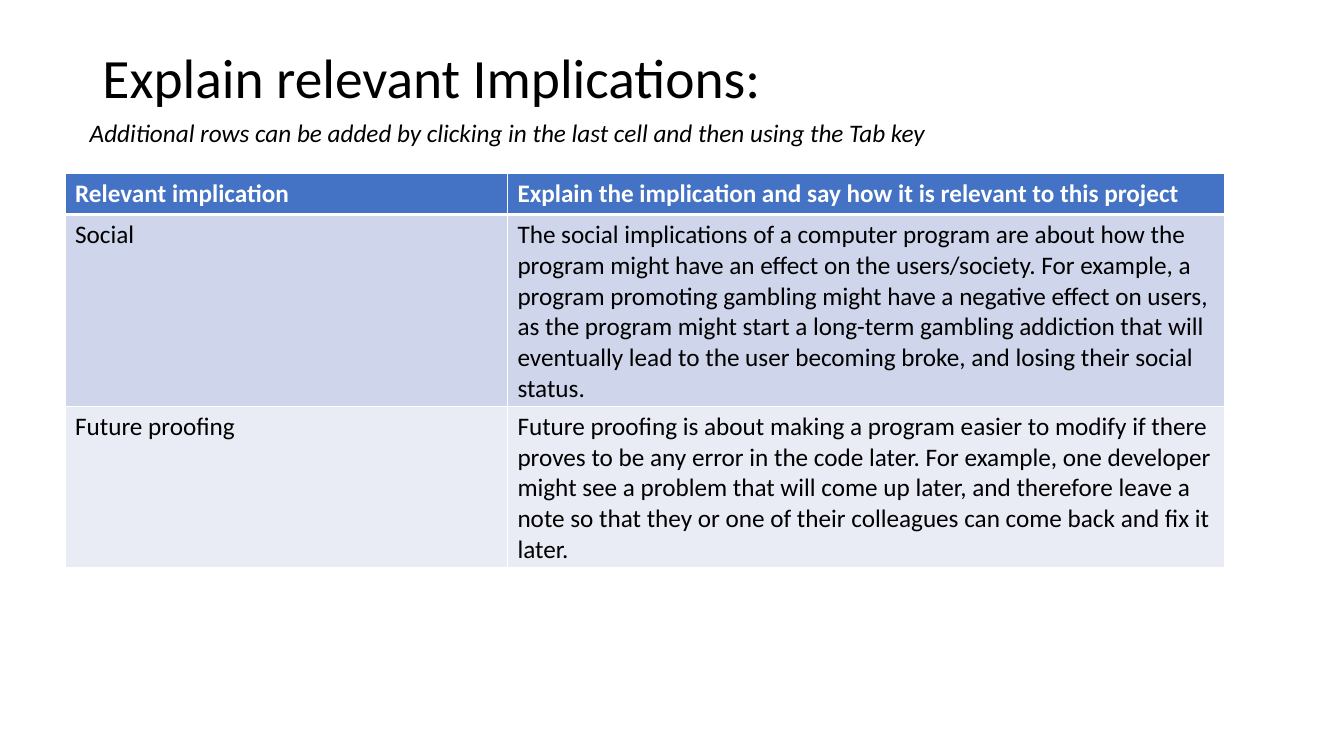
from lxml import etree
from pptx import Presentation
from pptx.dml.color import RGBColor
from pptx.enum import text as t
from pptx.oxml import ns
from pptx.util import Pt

ROWS = [
    ("Relevant implication",
     "Explain the implication and say how it is relevant to this project"),
    ("Social",
     "The social implications of a computer program are about how the program "
     "might have an effect on the users/society. For example, a program "
     "promoting gambling might have a negative effect on users, as the program "
     "might start a long-term gambling addiction that will eventually lead to "
     "the user becoming broke, and losing their social status."),
    ("Future proofing",
     "Future proofing is about making a program easier to modify if there "
     "proves to be any error in the code later. For example, one developer "
     "might see a problem that will come up later, and therefore leave a note "
     "so that they or one of their colleagues can come back and fix it later."),
]
HEAD = "4472C4"
BANDS = ["CFD5EA", "E9EBF5"]


def color(code):
    return RGBColor.from_string(code)


def write(frame, words, size=18, ink="000000", bold=False, slant=False, lead=None):
    para = frame.paragraphs[0]
    para.alignment = t.PP_ALIGN.LEFT
    para.line_spacing = lead
    run = para.add_run()
    run.text = words
    font = run.font
    font.name, font.size = "Calibri", Pt(size)
    font.bold, font.italic = bold, slant
    font.color.rgb = color(ink)


def edge(cell, side, width, ink="FFFFFF"):
    """Draw one border of a cell; side is L, R, T or B."""
    props = cell._tc.get_or_add_tcPr()
    line = etree.SubElement(props, ns.qn("a:ln" + side), w=str(Pt(width)))
    fill = etree.SubElement(line, ns.qn("a:solidFill"))
    etree.SubElement(fill, ns.qn("a:srgbClr"), val=ink)


class Page:
    def __init__(self, deck):
        self.slide = deck.slides.add_slide(deck.slide_layouts[5])

    def title(self, words, left, top, width, height):
        box = self.slide.shapes.title
        box.left, box.top, box.width, box.height = map(Pt, (left, top, width, height))
        frame = box.text_frame
        frame.word_wrap = True
        frame.auto_size = t.MSO_AUTO_SIZE.NONE
        frame.vertical_anchor = t.MSO_ANCHOR.MIDDLE
        write(frame, words, size=39.6, lead=1.15)

    def note(self, words, left, top, width, height):
        box = self.slide.shapes.add_textbox(*map(Pt, (left, top, width, height)))
        box.text_frame.word_wrap = True
        write(box.text_frame, words, slant=True)

    def table(self, rows, left, top, widths, heights):
        area = map(Pt, (left, top, sum(widths), sum(heights)))
        grid = self.slide.shapes.add_table(len(rows), len(widths), *area).table
        for col, width in zip(grid.columns, widths):
            col.width = Pt(width)
        for r, (row, height) in enumerate(zip(rows, heights)):
            grid.rows[r].height = Pt(height)
            head = r == 0
            for c, words in enumerate(row):
                cell = grid.cell(r, c)
                edge(cell, "L", 1)
                edge(cell, "R", 1)
                edge(cell, "T", 3 if r == 1 else 1)
                edge(cell, "B", 3 if head else 1)
                cell.fill.solid()
                cell.fill.fore_color.rgb = color(HEAD if head else BANDS[(r - 1) % 2])
                write(cell.text_frame, words, bold=head,
                      ink="FFFFFF" if head else "000000")


def main():
    deck = Presentation()
    deck.slide_width, deck.slide_height = Pt(960), Pt(540)
    page = Page(deck)
    page.title("Explain relevant Implications:", 66, 29, 828, 44)
    page.note("Additional rows can be added by clicking in the last cell "
              "and then using the Tab key", 57, 80.5, 788, 29)
    page.table(ROWS, 46.5, 124, [316, 512], [29.2, 137, 115])
    deck.save("out.pptx")


if __name__ == "__main__":
    main()
